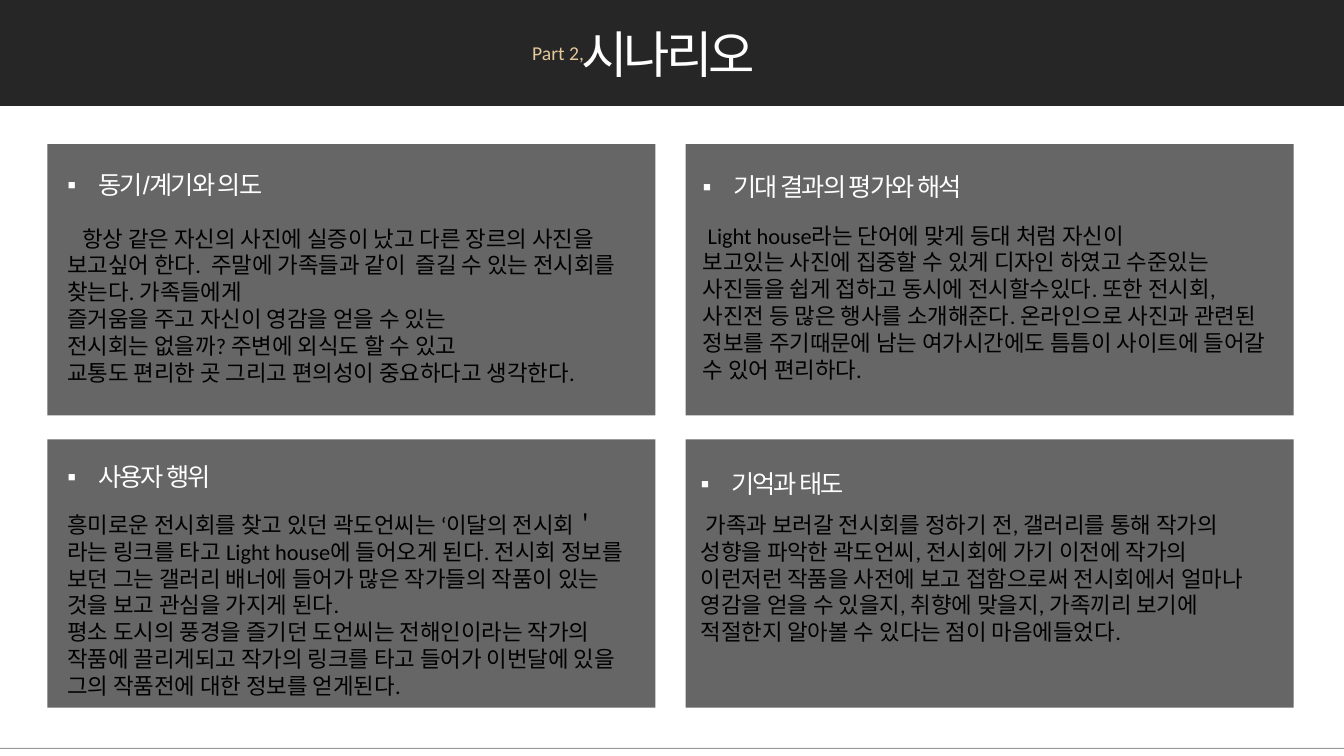
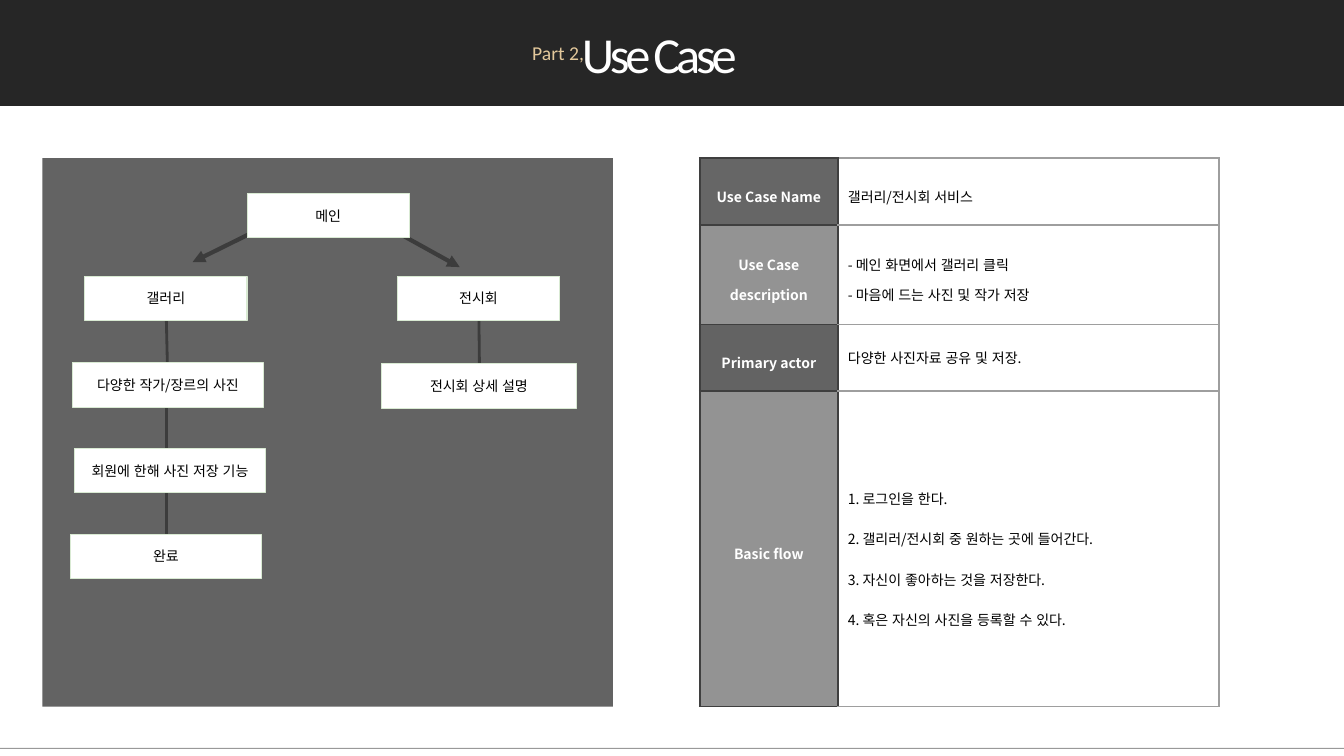
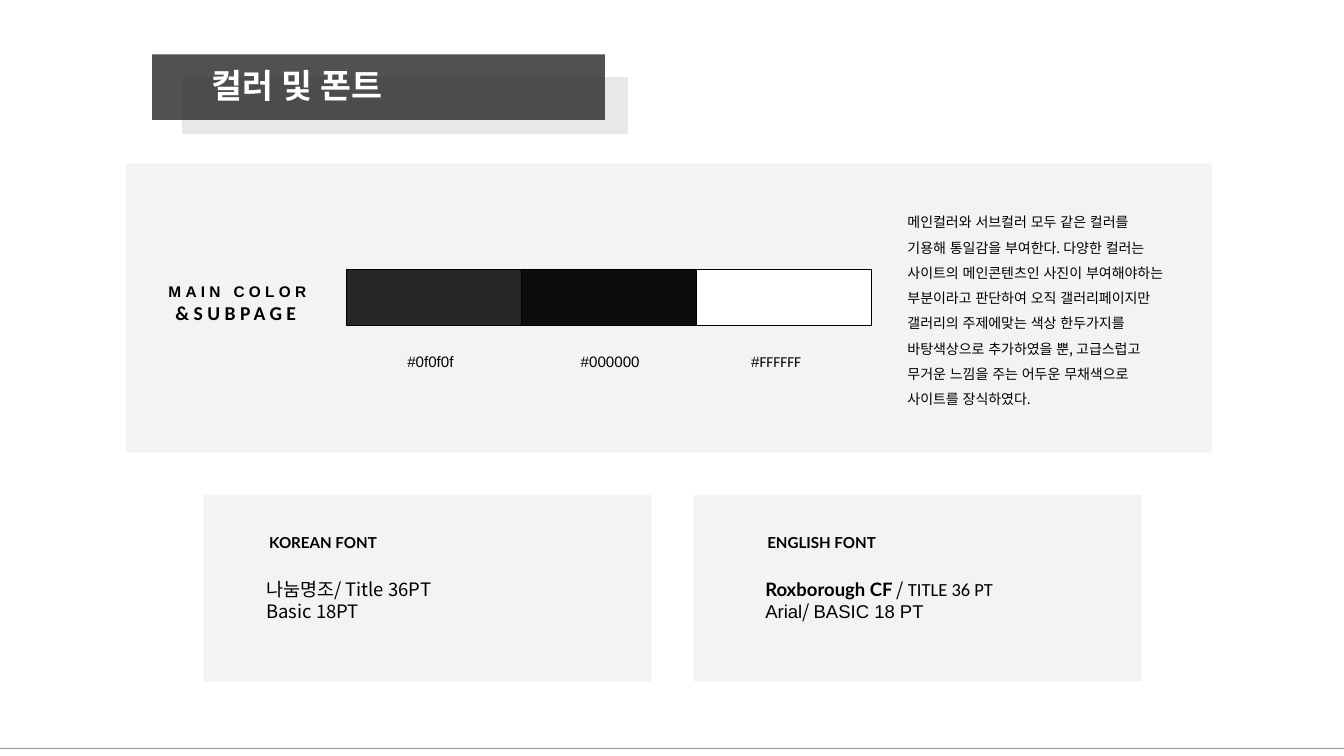
from itertools import product
from lxml.etree import SubElement
from pptx import Presentation
from pptx.dml.color import RGBColor
from pptx.enum.lang import MSO_LANGUAGE_ID
from pptx.enum.shapes import MSO_CONNECTOR, MSO_SHAPE
from pptx.enum.text import MSO_ANCHOR, MSO_AUTO_SIZE, PP_ALIGN
from pptx.oxml.ns import qn
from pptx.util import Pt

PX = 9144
SANS = "Noto Sans CJK KR"
INK = {
    "white": "FFFFFF", "black": "000000", "band": "262626", "gold": "E3C89B",
    "rule": "999999", "flow": "3C3C3C", "mint": "D9EAD3", "dark": "404040",
    "mid": "797979", "edge": "3F3F3F", "grid": "9E9E9E", "pale": "F3F3F3",
    "shade": "D9D9D9", "jet": "0D0D0D",
}

CARDS = [
    ("동기/계기와 의도", (57, 148, 228, 56), (57, 218, 585, 172), 15, [
        "항상 같은 자신의 사진에 실증이 났고 다른 장르의 사진을 보고싶어 한다.  주말에 가족들과 같이  즐길 수 있는 전시회를 찾는다. 가족들에게",
        "즐거움을 주고 자신이 영감을 얻을 수 있는",
        "전시회는 없을까? 주변에 외식도 할 수 있고",
        "교통도 편리한 곳 그리고 편의성이 중요하다고 생각한다."]),
    ("기대 결과의 평가와 해석", (687, 150, 302, 56), (687, 215, 585, 199), 5, [
        "Light house라는 단어에 맞게 등대 처럼 자신이",
        "보고있는 사진에 집중할 수 있게 디자인 하였고 수준있는 사진들을 쉽게 접하고 동시에 전시할수있다. 또한 전시회, 사진전 등 많은 행사를 소개해준다. 온라인으로 사진과 관련된 정보를 주기때문에 남는 여가시간에도 틈틈이 사이트에 들어갈 수 있어 편리하다."]),
    ("사용자 행위", (57, 438, 174, 56), (57, 502, 585, 199), 0, [
        "흥미로운 전시회를 찾고 있던 곽도언씨는 ‘이달의 전시회＇라는 링크를 타고 Light house에 들어오게 된다. 전시회 정보를 보던 그는 갤러리 배너에 들어가 많은 작가들의 작품이 있는 것을 보고 관심을 가지게 된다.",
        "평소 도시의 풍경을 즐기던 도언씨는 전해인이라는 작가의 작품에 끌리게되고 작가의 링크를 타고 들어가 이번달에 있을 그의 작품전에 대한 정보를 얻게된다."]),
    ("기억과 태도", (685, 445, 174, 56), (685, 502, 585, 145), 5, [
        "가족과 보러갈 전시회를 정하기 전, 갤러리를 통해 작가의 성향을 파악한 곽도언씨, 전시회에 가기 이전에 작가의 이런저런 작품을 사전에 보고 접함으로써 전시회에서 얼마나 영감을 얻을 수 있을지, 취향에 맞을지, 가족끼리 보기에 적절한지 알아볼 수 있다는 점이 마음에들었다."]),
]

NODES = [
    ("전시회 상세 설명", 378, 361, 194), ("회원에 한해 사진 저장 기능", 74, 445, 189),
    ("전시회", 394, 274, 161), ("갤러리", 84, 274, 161),
    ("다양한 작가/장르의 사진", 72, 360, 189), ("완료", 70, 530, 189),
    ("메인", 245, 192, 161),
]
LINKS = [
    (475, 317, 476, 405, 2, False), (165, 376, 165, 573, 2, False),
    (167, 403, 165, 318, 2, False), (264, 224, 191, 260, 3, True),
    (382, 224, 456, 265, 3, True),
]
CASES = [
    (66, "dark", 1.5, ["Use Case Name"], ["갤러리/전시회 서비스"]),
    (99, "mid", 1.5, ["Use Case", "description"],
     ["- 메인 화면에서 갤러리 클릭", "- 마음에 드는 사진 및 작가 저장"]),
    (66, "flow", 1, ["Primary actor"], ["다양한 사진자료 공유 및 저장."]),
    (313, "mid", 2, ["Basic flow"],
     ["1. 로그인을 한다.", "2. 갤리러/전시회 중 원하는 곳에 들어간다.",
      "3. 자신이 좋아하는 것을 저장한다.", "4. 혹은 자신의 사진을 등록할 수 있다."]),
]

SWATCHES = [
    ("band", 392, ["#0f0f0f"]), ("jet", 564, ["#000000"]),
    ("white", 733, [[("#", {}), ("FFFFFF", {"font": "Calibri"})]]),
]
NOTE = "메인컬러와 서브컬러 모두 같은 컬러를 기용해 통일감을 부여한다. 다양한 컬러는 사이트의 메인콘텐츠인 사진이 부여해야하는 부분이라고 판단하여 오직 갤러리페이지만 갤러리의 주제에맞는 색상 한두가지를 바탕색상으로 추가하였을 뿐, 고급스럽고 무거운 느낌을 주는 어두운 무채색으로 사이트를 장식하였다."
BRAND = [
    [("MAIN COLOR", {"size": 11, "font": "Arial", "gap": 3.06})],
    [("&SUBPAGE", {"size": 14, "gap": 3.16})],
]
FONTS = [
    (202, "KOREAN FONT", (255, 523, 249, 30), (252, 562, 302, 66),
     ["나눔명조/ Title 36PT", "Basic 18PT"]),
    (688, "ENGLISH FONT", (749, 523, 204, 30), (747, 562, 302, 66), [
        [("Roxborough CF ", {"font": "Lato", "bold": True}), ("/ ", {}),
         ("TITLE 36 PT", {"font": "Calibri"})],
        [("Arial", {"font": "Arial"}), ("/ ", {}),
         ("BASIC 18 PT", {"font": "Arial"})]]),
]


def emu(*nums):
    return [round(n * PX) for n in nums]


def color(name):
    return RGBColor.from_string(INK[name])


def style(run, size=10, font=SANS, ink="black", bold=False, gap=0):
    face = run.font
    face.size, face.name, face.bold = Pt(size), font, bold
    face.color.rgb = color(ink)
    face.language_id = MSO_LANGUAGE_ID.KOREAN
    props = run._r.get_or_add_rPr()
    latin = props.find(qn("a:latin"))
    east = latin.makeelement(qn("a:ea"), {"typeface": font})
    latin.addnext(east)
    if gap:
        props.set("spc", str(round(gap * 100)))


def write(frame, text, align=PP_ALIGN.LEFT, lead=None, bullet=None, first=0, **look):
    for i, item in enumerate(text):
        para = frame.paragraphs[0] if i == 0 else frame.add_paragraph()
        para.alignment = align
        if lead:
            para.line_spacing = lead
        props = para._p.get_or_add_pPr()
        if bullet:
            props.set("marL", str(31 * PX))
            props.set("indent", str(-31 * PX))
            SubElement(props, qn("a:buFont"), typeface="Arial")
            SubElement(props, qn("a:buChar"), char=bullet)
        elif first and i == 0:
            props.set("indent", str(first * PX))
        for words, extra in [(item, {})] if isinstance(item, str) else item:
            run = para.add_run()
            run.text = words
            style(run, **{**look, **extra})


def setup(frame, inset=(10, 5), anchor=MSO_ANCHOR.TOP, wrap=True):
    frame.margin_left = frame.margin_right = inset[0] * PX
    frame.margin_top = frame.margin_bottom = inset[1] * PX
    frame.vertical_anchor, frame.word_wrap = anchor, wrap
    frame.auto_size = MSO_AUTO_SIZE.NONE if wrap else MSO_AUTO_SIZE.SHAPE_TO_FIT_TEXT


def label(slide, at, text, inset=(10, 5), anchor=MSO_ANCHOR.TOP, wrap=True, **look):
    frame = slide.shapes.add_textbox(*emu(*at)).text_frame
    setup(frame, inset, anchor, wrap)
    write(frame, text, **look)
    return frame


def paint(item, ink, alpha=100):
    item.fill.solid()
    item.fill.fore_color.rgb = color(ink)
    if alpha < 100:
        tone = next(item.fill._xPr.iter(qn("a:srgbClr")))
        SubElement(tone, qn("a:alpha"), val=str(alpha * 1000))


def box(slide, at, ink, alpha=100, edge=None):
    shape = slide.shapes.add_shape(MSO_SHAPE.RECTANGLE, *emu(*at))
    shape.shadow.inherit = False
    paint(shape, ink, alpha)
    if edge:
        shape.line.color.rgb = color(edge)
        shape.line.width = Pt(0.75)
    else:
        shape.line.fill.background()
    return shape


def link(slide, x1, y1, x2, y2, width, arrow):
    line = slide.shapes.add_connector(MSO_CONNECTOR.STRAIGHT, *emu(x1, y1, x2, y2))
    line.line.color.rgb, line.line.width = color("flow"), Pt(width)
    if arrow:
        SubElement(line.line._get_or_add_ln(), qn("a:tailEnd"), type="triangle")
    SubElement(line._element.spPr, qn("a:effectLst"))


def border(cell, inks):
    props = cell._tc.get_or_add_tcPr()
    for i, (side, ink) in enumerate(zip("LRTB", inks)):
        line = props.makeelement(qn("a:ln" + side), {"w": str(Pt(1.5))})
        SubElement(SubElement(line, qn("a:solidFill")), qn("a:srgbClr"), val=INK[ink])
        props.insert(i, line)


def title(slide, text, at, inset=(10, 5), **look):
    shape = slide.shapes.title
    shape.left, shape.top, shape.width, shape.height = emu(*at)
    setup(shape.text_frame, inset)
    write(shape.text_frame, [text], ink="white", **look)
    slide.shapes._spTree.append(shape._element)


def header(slide, text):
    box(slide, (0, 0, 1333, 105), "band")
    title(slide, text, (567, 18, 450, 71), size=36, font="Calibri", gap=-3)
    label(slide, (518, 36, 78, 34), ["Part 2,"], wrap=False, size=14,
          font="Calibri", ink="gold")


def story(slide):
    header(slide, "시나리오")
    for (y, h), x in product([(143, 269), (436, 266)], [47, 680]):
        box(slide, (x, y, 603, h), "band", 70)
    for head, top, body, first, text in CARDS:
        label(slide, top, [head], wrap=False, size=18, font="Arial", ink="white",
              gap=-1.5, lead=1.5, bullet="▪")
        label(slide, body, text, size=16, font="Calibri", first=first)


def usage(slide):
    header(slide, "Use Case")
    box(slide, (42, 157, 566, 544), "flow", 80)
    for ends in LINKS:
        link(slide, *ends)
    for text, x, y, w in NODES:
        frame = box(slide, (x, y, w, 44), "white", edge="mint").text_frame
        setup(frame, (10, 10), MSO_ANCHOR.MIDDLE)
        write(frame, [text], align=PP_ALIGN.CENTER)
    table = slide.shapes.add_table(len(CASES), 2, *emu(694, 157, 515, 544)).table
    table.first_row = table.horz_banding = False
    for col, width in zip(table.columns, (137, 378)):
        col.width = width * PX
    for i, (height, ink, lead, name, text) in enumerate(CASES):
        table.rows[i].height = height * PX
        left, right = table.cell(i, 0), table.cell(i, 1)
        paint(left, ink, 80)
        paint(right, "white")
        border(left, ["edge"] * 4)
        border(right, ["edge"] + ["grid"] * 3)
        for cell in (left, right):
            cell.margin_left = cell.margin_right = 10 * PX
            cell.margin_top = cell.margin_bottom = 11 * PX
            cell.vertical_anchor = MSO_ANCHOR.MIDDLE
        write(left.text_frame, name, align=PP_ALIGN.CENTER, lead=1.5,
              ink="white", bold=True)
        write(right.text_frame, text, lead=lead)


def guide(slide):
    pad, mid = (12, 6), MSO_ANCHOR.MIDDLE
    box(slide, (125, 162, 1077, 287), "pale")
    box(slide, (180, 76, 443, 58), "shade", 58, "white")
    box(slide, (151, 54, 449, 65), "band", 80)
    title(slide, "컬러 및 폰트", (198, 52, 600, 84), (12, 12), size=24,
          font="Lato", bold=True)
    label(slide, (888, 176, 285, 256), [NOTE], pad, mid, lead=1.5)
    brand = label(slide, (155, 274, 172, 62), BRAND, pad, font="Calibri", bold=True)
    brand.paragraphs[1]._p.get_or_add_pPr().set("marL", str(7 * PX))
    for i, (ink, x, code) in enumerate(SWATCHES):
        box(slide, (344 + i * 173.5, 267, 173.5, 56), ink, edge="black")
        label(slide, (x, 344, 94, 59), code, pad, size=10.8, font="Arial")
    for x, name, top, body, text in FONTS:
        box(slide, (x, 491, 444, 185), "pale")
        label(slide, top, [name], pad, size=10.8, font="Lato", bold=True)
        label(slide, body, text, pad, mid, size=13.2)


def main():
    deck = Presentation()
    deck.slide_width, deck.slide_height = emu(1333, 750)
    layout = deck.slide_layouts[5]
    for i, build in enumerate((story, usage, guide)):
        slide = deck.slides.add_slide(layout)
        if i == 0:
            rule = box(slide, (0, 742, 1333, 1), "rule")
            layout.shapes._spTree.append(rule._element)
        build(slide)
    deck.save("out.pptx")


if __name__ == "__main__":
    main()
